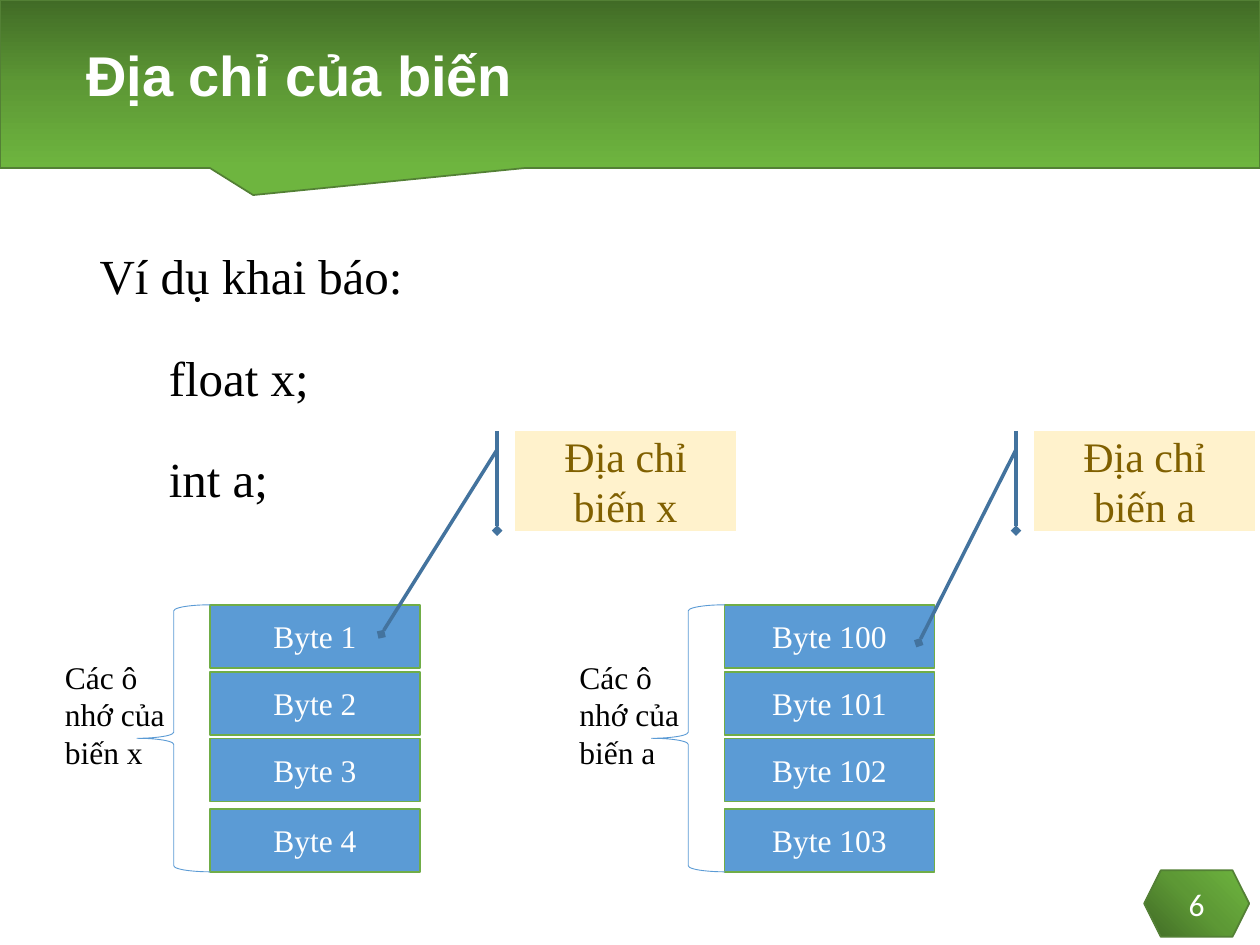
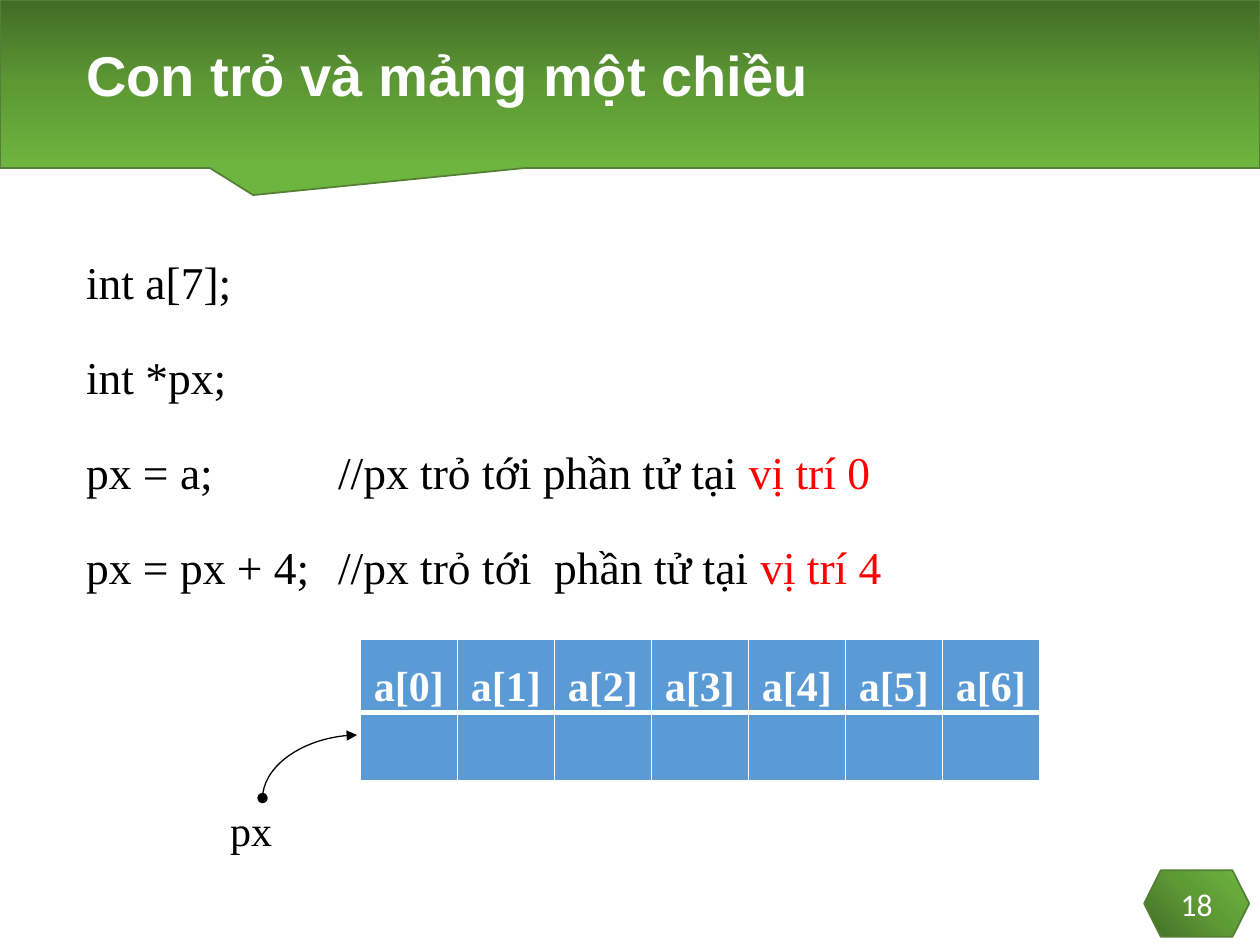
from pptx import Presentation
from pptx.dml.color import RGBColor
from pptx.enum import shapes, text
from pptx.oxml import parse_xml
from pptx.oxml.ns import nsdecls, qn
from pptx.util import Pt

GREEN_STOPS = ((0, "416B26"), (50, "5D9835"), (100, "6EB53F"))
GREEN_EDGE, BYTE_EDGE, CALLOUT_EDGE = "538035", "70AD47", "43739E"
BLUE, CREAM, BROWN = "5B9BD5", "FFF2CC", "806000"
WHITE, BLACK, RED = "FFFFFF", "000000", "FF0000"
SERIF = "Times New Roman"
TAB_STEP = 54
BYTE_OFFSETS = (0, 38.3, 76.4, 116.6)
LINEAR_DOWN = '<a:lin ang="5400000" scaled="0"/>'
FROM_BOTTOM_LEFT = '<a:path path="circle"><a:fillToRect t="100000" r="100000"/></a:path>'


# Shared helpers
def color(hex_value):
    return RGBColor.from_string(hex_value)


def set_font(font, size, hex_value=None, name=SERIF, bold=False):
    font.size, font.name, font.bold = Pt(size), name, bold
    if hex_value:
        font.color.rgb = color(hex_value)


def place(shape, left, top, width, height):
    shape.left, shape.top = Pt(left), Pt(top)
    shape.width, shape.height = Pt(width), Pt(height)


def drawing_xml(tag, attributes="", content=""):
    return parse_xml(f'<a:{tag} {nsdecls("a")} {attributes}>{content}</a:{tag}>')


def add_preset(slide, kind, box, edge, weight, fill=None, adjustments=()):
    shape = slide.shapes.add_shape(kind, *map(Pt, box))
    shape.shadow.inherit = False
    for index, value in enumerate(adjustments):
        shape.adjustments[index] = value
    if fill:
        shape.fill.solid()
        shape.fill.fore_color.rgb = color(fill)
    else:
        shape.fill.background()
    shape.line.color.rgb = color(edge)
    shape.line.width = Pt(weight)
    return shape


def fill_green(shape, direction):
    stops = "".join(
        f'<a:gs pos="{position * 1000}"><a:srgbClr val="{value}"/></a:gs>'
        for position, value in GREEN_STOPS)
    gradient = drawing_xml("gradFill", 'rotWithShape="1"', f"<a:gsLst>{stops}</a:gsLst>{direction}")
    properties = shape._element.spPr
    properties.replace(properties.find(qn("a:noFill")), gradient)


def write_centered(shape, words, size, hex_value, name=SERIF):
    frame = shape.text_frame
    frame.word_wrap = True
    frame.vertical_anchor = text.MSO_ANCHOR.MIDDLE
    frame.text = words
    paragraph = frame.paragraphs[0]
    paragraph.alignment = text.PP_ALIGN.CENTER
    set_font(paragraph.font, size, hex_value, name)


def add_label(slide, words, box, size, wrap=True):
    label = slide.shapes.add_textbox(*map(Pt, box))
    label.text_frame.word_wrap = wrap
    label.text_frame.text = words
    set_font(label.text_frame.paragraphs[0].font, size, BLACK)


# Frame common to every slide: band, title and number
def add_framed_slide(presentation, title, number):
    slide = presentation.slides.add_slide(presentation.slide_layouts[1])
    band = add_preset(slide, shapes.MSO_SHAPE.RECTANGULAR_CALLOUT, (0, 0, 720, 96),
                      GREEN_EDGE, 1, adjustments=(-0.299, 0.661))
    fill_green(band, LINEAR_DOWN)
    slide.shapes._spTree.insert(2, band._element)

    badge = add_preset(slide, shapes.MSO_SHAPE.HEXAGON, (653.8, 497.3, 60, 38), GREEN_EDGE, 1)
    fill_green(badge, FROM_BOTTOM_LEFT)
    write_centered(badge, str(number), 18, WHITE, "Calibri")

    heading = slide.shapes.title
    place(heading, 42, 6, 636, 78)
    frame = heading.text_frame
    frame.text = title
    frame.auto_size = text.MSO_AUTO_SIZE.NONE
    frame.vertical_anchor = text.MSO_ANCHOR.MIDDLE
    paragraph = frame.paragraphs[0]
    paragraph.alignment = text.PP_ALIGN.LEFT
    paragraph.line_spacing = 0.9
    set_font(paragraph.font, 32, WHITE, "Arial", bold=True)
    return slide


def fill_body(slide, box, size, lines):
    """Each line is (indent, plain words, red words)."""
    body = slide.placeholders[1]
    place(body, *box)
    frame = body.text_frame
    frame.auto_size = text.MSO_AUTO_SIZE.NONE
    frame.vertical_anchor = text.MSO_ANCHOR.TOP
    tabs = "".join(f'<a:tab pos="{Pt(TAB_STEP * step)}" algn="l"/>' for step in (1, 2, 3))
    for index, (indent, plain, red) in enumerate(lines):
        paragraph = frame.add_paragraph() if index else frame.paragraphs[0]
        properties = paragraph._p.get_or_add_pPr()
        properties.set("marL", str(Pt(indent)))
        properties.set("indent", "0")
        properties.append(drawing_xml("buNone"))
        properties.append(drawing_xml("tabLst", content=tabs))
        paragraph.line_spacing = 1.5
        paragraph.space_before = Pt(7.5)
        set_font(paragraph.font, size)
        for words, hex_value in ((plain, BLACK), (red, RED)):
            if words:
                run = paragraph.add_run()
                run.text = words
                run.font.color.rgb = color(hex_value)


# Memory cells of one variable, with brace, label and address callout
def add_variable_memory(slide, left, top, variable, first_byte, callout_left, callout_tip):
    for index, offset in enumerate(BYTE_OFFSETS):
        cell = add_preset(slide, shapes.MSO_SHAPE.RECTANGLE,
                          (left + 90, top + offset, 120, 36), BYTE_EDGE, 1, BLUE)
        write_centered(cell, f"Byte {first_byte + index}", 18, WHITE)
    callout = add_preset(slide, shapes.MSO_SHAPE.LINE_CALLOUT_1_ACCENT_BAR,
                         (left + callout_left, top - 99.4, 126, 57), CALLOUT_EDGE, 2, CREAM,
                         (0.188, -0.083, *callout_tip))
    callout.line._get_or_add_ln().append(drawing_xml("tailEnd", 'type="diamond"'))
    write_centered(callout, f"Địa chỉ biến {variable}", 24, BROWN)
    add_preset(slide, shapes.MSO_SHAPE.LEFT_BRACE, (left + 48.3, top, 42, 152.6), BLUE, 0.5)
    add_label(slide, f"Các ô nhớ của biến {variable}", (left, top + 26.6, 78.5, 72.7), 18)


# Array table
def set_borders(cell, top_weight, bottom_weight):
    properties = cell._tc.get_or_add_tcPr()
    weights = (("lnL", 1), ("lnR", 1), ("lnT", top_weight), ("lnB", bottom_weight))
    for index, (tag, weight) in enumerate(weights):
        fill = f'<a:solidFill><a:srgbClr val="{WHITE}"/></a:solidFill>'
        properties.insert(index, drawing_xml(tag, f'w="{Pt(weight)}"', fill))


def add_array_table(slide, left, top, width, count):
    row_heights = (42, 39)
    frame = slide.shapes.add_table(2, count, Pt(left), Pt(top), Pt(width), Pt(sum(row_heights)))
    table = frame.table
    for row, height in zip(table.rows, row_heights):
        row.height = Pt(height)
    for index, column in enumerate(table.columns):
        column.width = Pt(width / count)
        header, value = table.cell(0, index), table.cell(1, index)
        for cell in (header, value):
            cell.fill.solid()
            cell.fill.fore_color.rgb = color(BLUE)
        set_borders(header, 1, 3)
        set_borders(value, 3, 1)
        header.margin_left = header.margin_right = Pt(5)
        header.margin_top = header.margin_bottom = 0
        write_header(header, f"a[{index}]")


def write_header(cell, words):
    cell.vertical_anchor = text.MSO_ANCHOR.MIDDLE
    cell.text = words
    paragraph = cell.text_frame.paragraphs[0]
    paragraph.alignment = text.PP_ALIGN.CENTER
    paragraph.line_spacing = 1.5
    set_font(paragraph.font, 24, WHITE, bold=True)


# Pointer label and its quarter-turn arrow
def add_pointer(slide, left, top):
    arrow = slide.shapes.add_connector(
        shapes.MSO_CONNECTOR.CURVE, Pt(left + 34.5), Pt(top - 45), Pt(left + 70.5), Pt(top + 9))
    arrow.line.color.rgb = color(BLACK)
    arrow.line.width = Pt(0.75)
    properties = arrow._element.spPr
    properties.find(qn("a:xfrm")).set("rot", "16200000")
    properties.find(qn("a:prstGeom")).set("prst", "curvedConnector2")
    line = arrow.line._get_or_add_ln()
    line.append(drawing_xml("headEnd", 'type="oval"'))
    line.append(drawing_xml("tailEnd", 'type="triangle"'))
    properties.append(drawing_xml("effectLst"))
    add_label(slide, "px", (left, top, 39, 36), 24, wrap=False)


# Slides
def build_address_slide(presentation):
    slide = add_framed_slide(presentation, "Địa chỉ của biến", 6)
    add_variable_memory(slide, 30, 345.6, "x", 1, 264.5, (2.039, -0.608))
    add_variable_memory(slide, 324, 345.6, "a", 100, 267, (2.123, -0.524))
    fill_body(slide, (49.7, 120, 652, 120), 28, (
        (0, "Ví dụ khai báo:", ""),
        (3.6, "\tfloat x;", ""),
        (3.6, "\tint a;", ""),
    ))


def build_array_slide(presentation):
    slide = add_framed_slide(presentation, "Con trỏ và mảng một chiều", 18)
    fill_body(slide, (42, 126, 636, 361), 26, (
        (0, "int a[7];", ""),
        (0, "int *px;", ""),
        (0, "px = a;\t\t//px trỏ tới phần tử tại ", "vị trí 0"),
        (0, "px = px + 4;\t//px trỏ tới  phần tử tại ", "vị trí 4"),
    ))
    add_array_table(slide, 206, 365.3, 388, 7)
    add_pointer(slide, 124.5, 456)


def main():
    presentation = Presentation()
    presentation.slide_width, presentation.slide_height = Pt(720), Pt(540)
    build_address_slide(presentation)
    build_array_slide(presentation)
    presentation.save("out.pptx")


if __name__ == "__main__":
    main()
